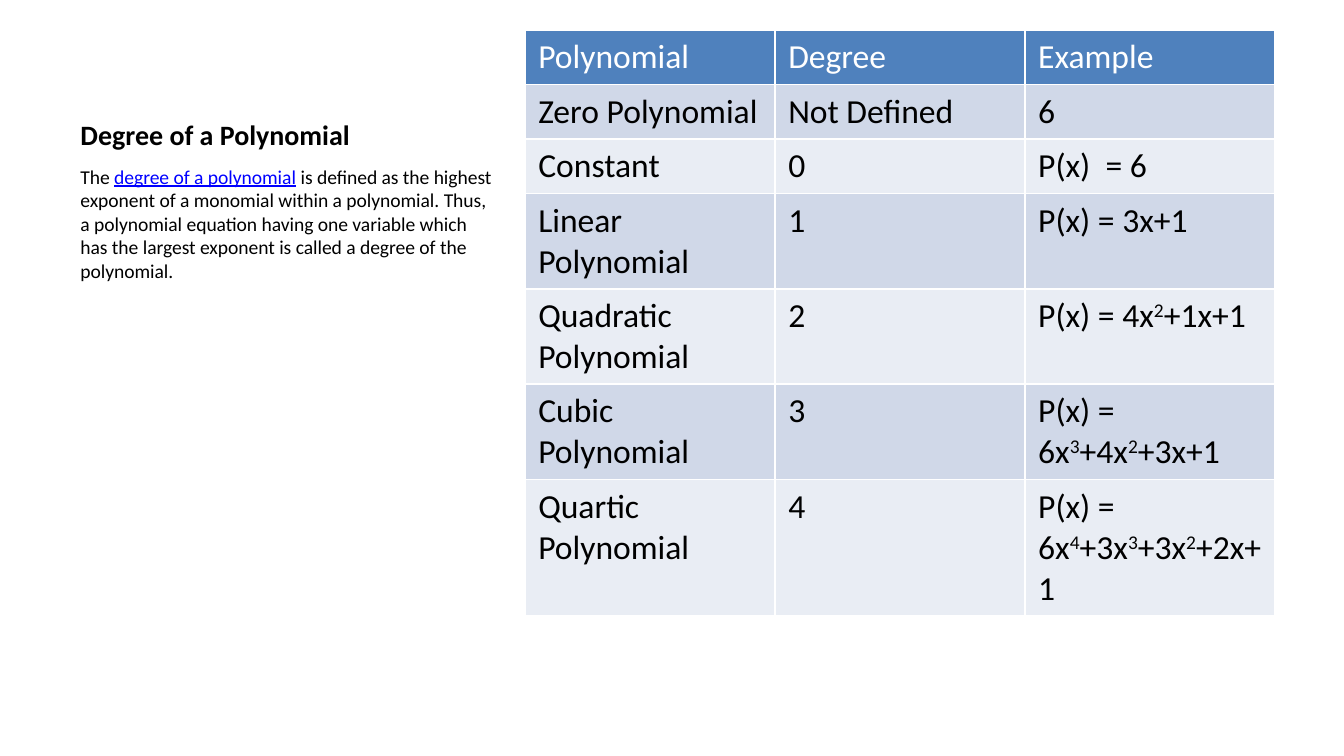
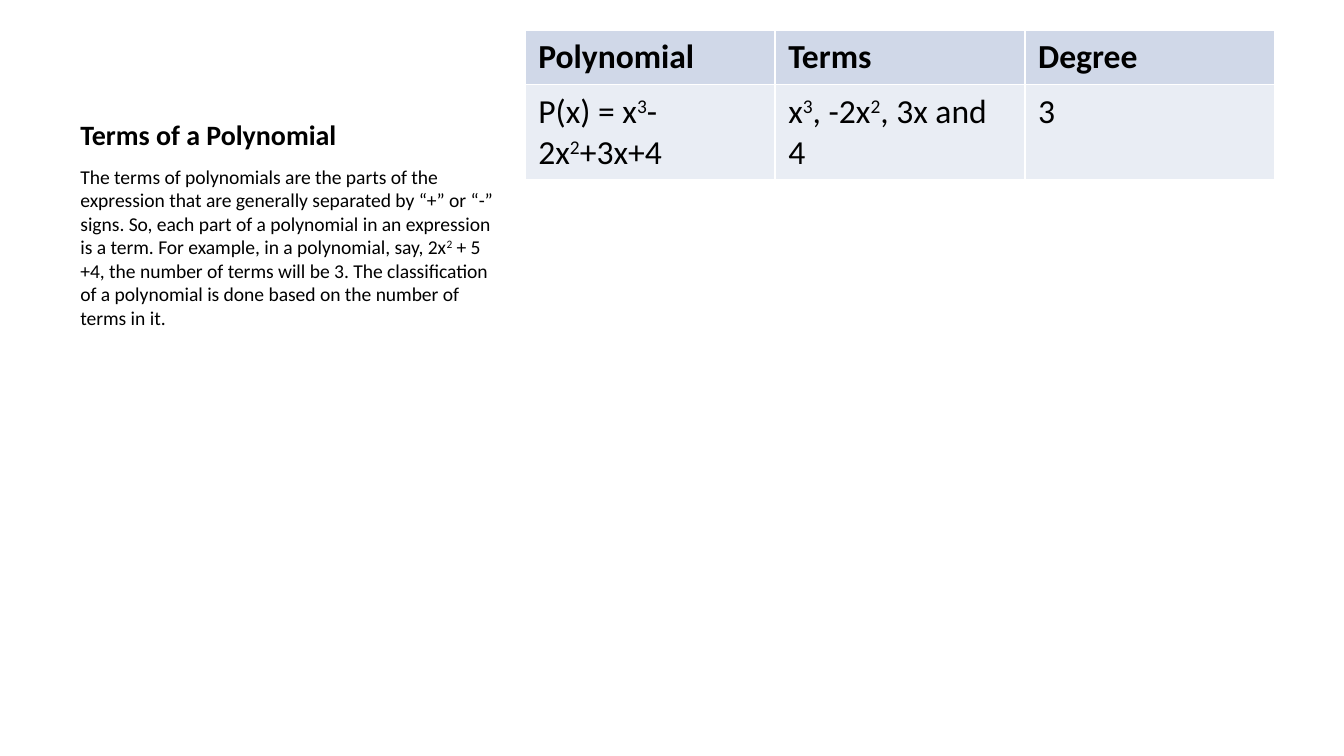
"""Builds two slides on the degree and the terms of a polynomial."""
from dataclasses import dataclass
from typing import NamedTuple

from pptx import Presentation
from pptx.dml.color import RGBColor
from pptx.enum.text import MSO_ANCHOR
from pptx.util import Pt

TOP = MSO_ANCHOR.TOP
BOTTOM = MSO_ANCHOR.BOTTOM
EMU_PER_PX = 4572


@dataclass(frozen=True)
class Theme:
    """Colours, font and type sizes of the deck."""
    font: str = "Calibri"
    title_size: float = 15
    body_size: float = 10.5
    table_size: float = 18
    text: str = "000000"
    link: str = "0000FF"
    white: str = "FFFFFF"
    header: str = "4F81BD"
    bands: tuple[str, str] = ("D0D8E8", "E9EDF4")


class Area(NamedTuple):
    """Place and size in px."""
    left: int
    top: int
    width: int
    height: int


class Passage(NamedTuple):
    """A stretch of body text, where ^ raises the next character."""
    text: str
    linked: bool = False


class Row(NamedTuple):
    """A table row and the number of text lines it holds."""
    cells: tuple[str, str, str]
    lines: int = 1


@dataclass(frozen=True)
class Lesson:
    """The content of one slide."""
    title: str
    body: tuple[Passage, ...]
    rows: tuple[Row, ...]
    blue_header: bool


THEME = Theme()
SLIDE_WIDTH, SLIDE_HEIGHT = 2000, 1125
TITLE_AREA = Area(100, 45, 658, 190)
BODY_AREA = Area(100, 235, 658, 770)
TABLE_AREA = Area(781, 45, 1116, 958)
LINE_HEIGHT, CELL_PADDING = 61, 20

LESSONS = (
    Lesson(
        "Degree of a Polynomial",
        (
            Passage("The "),
            Passage("degree of a polynomial", linked=True),
            Passage(" is defined as the highest exponent of a monomial within a "
                    "polynomial. Thus, a polynomial equation having one variable "
                    "which has the largest exponent is called a degree of the "
                    "polynomial."),
        ),
        (
            Row(("Polynomial", "Degree", "Example")),
            Row(("Zero Polynomial", "Not Defined", "6")),
            Row(("Constant", "0", "P(x)  = 6")),
            Row(("Linear Polynomial", "1", "P(x) = 3x+1"), 2),
            Row(("Quadratic Polynomial", "2", "P(x) = 4x^2+1x+1"), 2),
            Row(("Cubic Polynomial", "3", "P(x) = 6x^3+4x^2+3x+1"), 2),
            Row(("Quartic Polynomial", "4", "P(x) = 6x^4+3x^3+3x^2+2x+1"), 3),
        ),
        blue_header=True,
    ),
    Lesson(
        "Terms of a Polynomial",
        (
            Passage("The terms of polynomials are the parts of the expression that "
                    "are generally separated by “+” or “-” signs. So, each part of "
                    "a polynomial in an expression is a term. For example, in a "
                    "polynomial, say, 2x^2 + 5 +4, the number of terms will be 3. "
                    "The classification of a polynomial is done based on the "
                    "number of terms in it."),
        ),
        (
            Row(("Polynomial", "Terms", "Degree")),
            Row(("P(x) = x^3-2x^2+3x+4", "x^3, -2x^2, 3x and 4", "3"), 2),
        ),
        blue_header=False,
    ),
)


def px(length: int) -> int:
    """Turn px into EMU."""
    return length * EMU_PER_PX


def add_text(para, text: str, *, size: float, color: str = THEME.text,
             bold: bool = False, underline: bool = False) -> None:
    """Append text to a paragraph, raising each character that follows ^."""
    first, *others = text.split("^")
    pieces = [(first, False)]
    for other in others:
        pieces += [(other[:1], True), (other[1:], False)]
    for piece, raised in pieces:
        if not piece:
            continue
        span = para.add_run()
        span.text = piece
        span.font.name = THEME.font
        span.font.size = Pt(size)
        span.font.bold = bold
        span.font.underline = underline
        span.font.color.rgb = RGBColor.from_string(color)
        if raised:
            span._r.get_or_add_rPr().set("baseline", "30000")


def add_box(page, area: Area, anchor: MSO_ANCHOR):
    """Add a wrapping text box and return its paragraph."""
    box = page.shapes.add_textbox(*map(px, area))
    frame = box.text_frame
    frame.word_wrap = True
    frame.vertical_anchor = anchor
    return frame.paragraphs[0]


def add_grid(page, rows: tuple[Row, ...], blue_header: bool) -> None:
    """Add the table with banded rows."""
    columns = len(rows[0].cells)
    table = page.shapes.add_table(len(rows), columns, *map(px, TABLE_AREA)).table
    table.first_row = blue_header
    table.horz_banding = True
    for column in table.columns:
        column.width = px(TABLE_AREA.width // columns)
    for index, row in enumerate(rows):
        table.rows[index].height = px(CELL_PADDING + LINE_HEIGHT * row.lines)
        is_blue = blue_header and index == 0
        band = THEME.bands[(index - blue_header) % 2]
        for position, text in enumerate(row.cells):
            cell = table.cell(index, position)
            cell.fill.solid()
            cell.fill.fore_color.rgb = RGBColor.from_string(
                THEME.header if is_blue else band)
            add_text(cell.text_frame.paragraphs[0], text, size=THEME.table_size,
                     color=THEME.white if is_blue else THEME.text,
                     bold=index == 0 and not blue_header)


def add_lesson(deck, lesson: Lesson) -> None:
    """Add one slide with its title, body and table."""
    page = deck.slides.add_slide(deck.slide_layouts[6])
    add_text(add_box(page, TITLE_AREA, BOTTOM), lesson.title,
             size=THEME.title_size, bold=True)
    para = add_box(page, BODY_AREA, TOP)
    for passage in lesson.body:
        add_text(para, passage.text, size=THEME.body_size,
                 color=THEME.link if passage.linked else THEME.text,
                 underline=passage.linked)
    add_grid(page, lesson.rows, lesson.blue_header)


def main() -> None:
    """Build and save the deck."""
    deck = Presentation()
    deck.slide_width = px(SLIDE_WIDTH)
    deck.slide_height = px(SLIDE_HEIGHT)
    for lesson in LESSONS:
        add_lesson(deck, lesson)
    deck.save("out.pptx")


if __name__ == "__main__":
    main()
